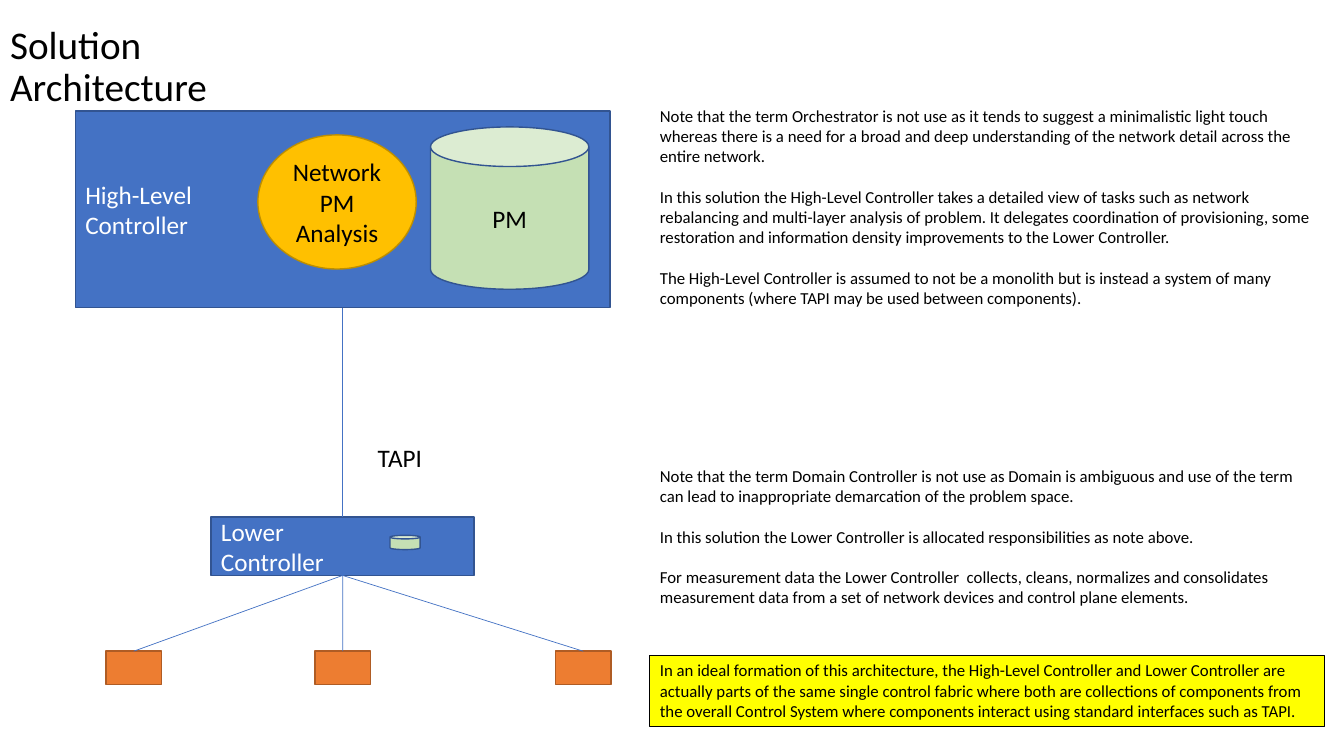
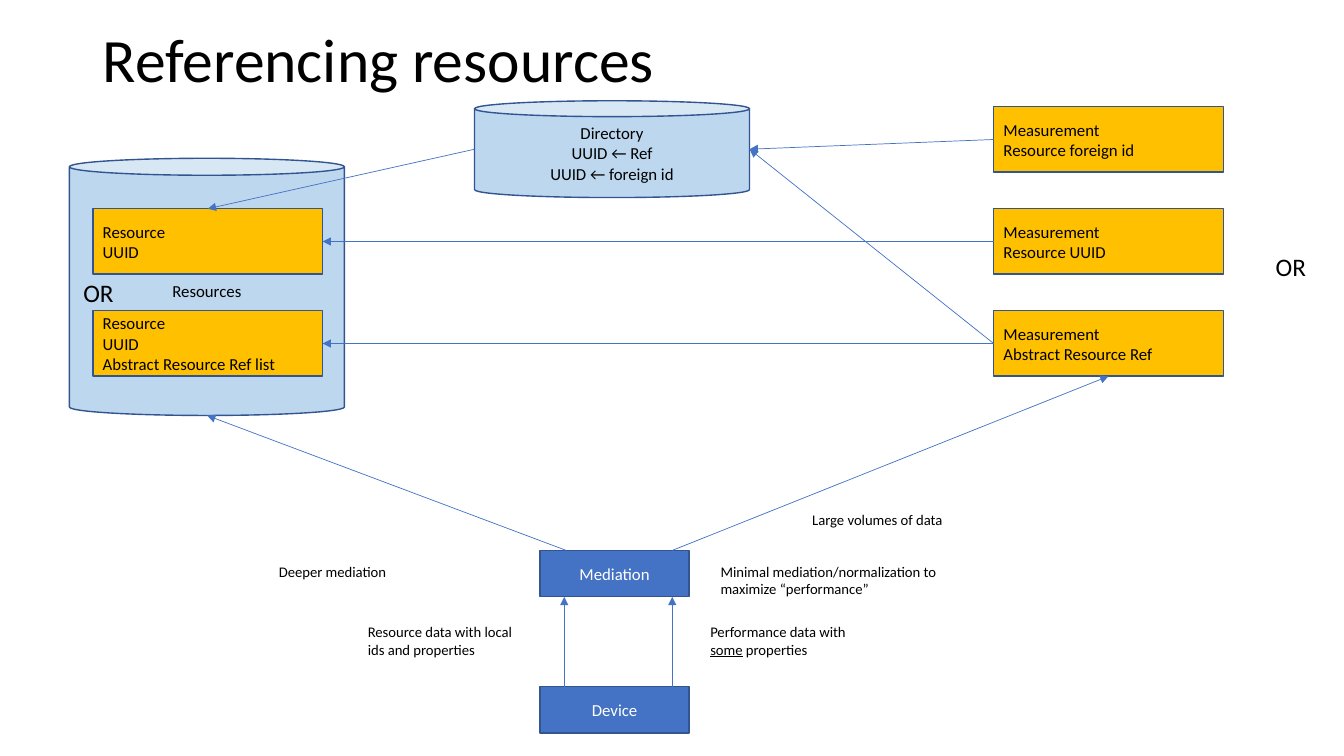
from lxml import etree
from pptx import Presentation
from pptx.dml.color import RGBColor
from pptx.enum.shapes import MSO_CONNECTOR, MSO_SHAPE
from pptx.enum.text import MSO_ANCHOR, MSO_AUTO_SIZE, PP_ALIGN
from pptx.oxml.ns import qn
from pptx.util import Cm, Pt

RECT, CAN, OVAL = MSO_SHAPE.RECTANGLE, MSO_SHAPE.CAN, MSO_SHAPE.OVAL
STRAIGHT = MSO_CONNECTOR.STRAIGHT
LEFT, CENTER = PP_ALIGN.LEFT, PP_ALIGN.CENTER
MIDDLE, FIXED = MSO_ANCHOR.MIDDLE, MSO_AUTO_SIZE.NONE
TOP, WEST, BOTTOM, EAST = range(4)  # connection sites of a rectangle

FONT = "Calibri"
TITLE_ONLY = 5
COLORS = {
    "black": "000000", "white": "FFFFFF", "blue": "4472C4", "navy": "325491",
    "orange": "ED7D31", "brown": "AF5C24", "gold": "FFC000", "ochre": "BD8E00",
    "green": "C5E0B4", "sky": "BDD7EE", "yellow": "FFFF00",
}


def rgb(name):
    return RGBColor.from_string(COLORS[name])


def write(tf, lines, size, color="black", align=LEFT, gap=0):
    """Fill a text frame, one paragraph a line; _word_ is underlined."""
    tf.word_wrap = True
    for i, line in enumerate(lines):
        p = tf.paragraphs[0] if i == 0 else tf.add_paragraph()
        p.alignment = align
        p.font.name, p.font.size, p.font.color.rgb = FONT, Pt(size), rgb(color)
        p.space_before = Pt(gap if i else 0)
        for j, part in enumerate(line.split("_")):
            r = p.add_run()
            r.text = part
            if j % 2:
                r.font.underline = True


def paint(shape, fill, line, width=1):
    shape.fill.solid()
    shape.fill.fore_color.rgb = rgb(fill)
    shape.line.color.rgb = rgb(line)
    shape.line.width = Pt(width)


def add_slide(prs, title, size, box):
    s = prs.slides.add_slide(prs.slide_layouts[TITLE_ONLY])
    sp = s.shapes.title
    sp.left, sp.top, sp.width, sp.height = map(Cm, box)
    tf = sp.text_frame
    tf.auto_size, tf.vertical_anchor = FIXED, MIDDLE
    write(tf, [title], size)
    tf.paragraphs[0].line_spacing = 0.9
    return s


def add_node(s, kind, box, fill, line="navy", lines=(), size=12,
             color="black", align=LEFT, rim=None):
    sp = s.shapes.add_shape(kind, *map(Cm, box))
    sp.shadow.inherit = False
    paint(sp, fill, line)
    if rim is not None:
        sp.adjustments[0] = rim
    sp.text_frame.vertical_anchor = MIDDLE
    write(sp.text_frame, lines, size, color, align)
    return sp


def add_text(s, box, lines, size, gap=0):
    sp = s.shapes.add_textbox(*map(Cm, box))
    write(sp.text_frame, lines, size, gap=gap)
    return sp


def add_link(s, start, end, arrow=True):
    """Each end is a point in cm or a pair of rectangle and site."""
    c = s.shapes.add_connector(STRAIGHT, 0, 0, 0, 0)
    if isinstance(start[0], (int, float)):
        c.begin_x, c.begin_y = map(Cm, start)
    else:
        c.begin_connect(*start)
    if isinstance(end[0], (int, float)):
        c.end_x, c.end_y = map(Cm, end)
    else:
        c.end_connect(*end)
    c.line.color.rgb = rgb("blue")
    c.line.width = Pt(0.5)
    if arrow:
        ln = c.line._get_or_add_ln()
        etree.SubElement(ln, qn("a:tailEnd"), type="triangle")
    etree.SubElement(c._element.spPr, qn("a:effectLst"))


def architecture(prs):
    s = add_slide(prs, "Solution Architecture", 28, (0, 0.58, 7.67, 2.24))

    # Controllers and their parts
    high = add_node(s, RECT, (1.9, 2.8, 13.47, 4.95), "blue",
                    lines=["High-Level", "Controller"], size=18, color="white")
    lower = add_node(s, RECT, (5.32, 13.03, 6.63, 1.47), "blue",
                     lines=["Lower", "Controller"], size=18, color="white")
    add_node(s, CAN, (10.85, 3.2, 3.99, 4.09), "green",
             lines=["PM"], size=18, align=CENTER)
    add_node(s, CAN, (9.83, 13.49, 0.76, 0.36), "green")
    add_node(s, OVAL, (6.5, 3.4, 3.99, 3.38), "gold", "ochre",
             ["Network PM", "Analysis"], 18, align=CENTER)

    # Network devices and links
    add_link(s, (lower, TOP), (high, BOTTOM), arrow=False)
    for x in (2.67, 7.94, 14):
        device = add_node(s, RECT, (x, 16.41, 1.4, 0.84), "orange", "brown")
        add_link(s, (lower, BOTTOM), (device, TOP), arrow=False)
    add_text(s, (9.27, 11.02, 3.12, 1.02), ["TAPI"], 18)

    # Notes
    notes = [
        (2.54, 5.38, [
            "Note that the term Orchestrator is not use as it tends to suggest a minimalistic light touch "
            "whereas there is a need for a broad and deep understanding of the network detail across the "
            "entire network.",
            "In this solution the High-Level Controller takes a detailed view of tasks such as network "
            "rebalancing and multi-layer analysis of problem. It delegates coordination of provisioning, "
            "some restoration and information density improvements to the Lower Controller.",
            "The High-Level Controller is assumed to not be a monolith but is instead a system of many "
            "components (where TAPI may be used between components)."]),
        (11.61, 3.84, [
            "Note that the term Domain Controller is not use as Domain is ambiguous and use of the term "
            "can lead to inappropriate demarcation of the problem space.",
            "In this solution the Lower Controller is allocated responsibilities as note above.",
            "For measurement data the Lower Controller  collects, cleans, normalizes and consolidates "
            "measurement data from a set of network devices and control plane elements."]),
        (16.51, 1.8, [
            "In an ideal formation of this architecture, the High-Level Controller and Lower Controller are "
            "actually parts of the same single control fabric where both are collections of components from "
            "the overall Control System where components interact using standard interfaces such as TAPI."]),
    ]
    for y, h, lines in notes:
        note = add_text(s, (16.38, y, 16.99, h), lines, 12, gap=14.6)
    paint(note, "yellow", "black", 0.75)  # the last note is highlighted


def referencing(prs):
    s = add_slide(prs, "Referencing resources", 44, (2.34, 0.48, 29.21, 2.21))

    # Stores
    add_node(s, CAN, (1.75, 3.99, 6.93, 6.48), "sky",
             lines=["Resources"], align=CENTER, rim=0.066)
    add_node(s, CAN, (11.96, 2.54, 6.93, 2.44), "sky", align=CENTER, rim=0.164,
             lines=["Directory", "UUID ← Ref", "UUID ← foreign id"])
    directory_west, directory_east = (11.96, 3.76), (18.89, 3.76)

    # Records, on shared rows
    def record(x, row, lines):
        return add_node(s, RECT, (x, 2.69 + 2.57 * row, 5.79, 1.65), "gold", lines=lines)

    plain = record(2.34, 1, ["Resource", "UUID"])
    listed = record(2.34, 2, ["Resource", "UUID", "Abstract Resource Ref list"])
    foreign, by_uuid, by_ref = [
        record(25.04, row, ["Measurement", key]) for row, key in
        enumerate(["Resource foreign id", "Resource UUID", "Abstract Resource Ref"])]

    # Data sources
    mediation, device = [
        add_node(s, RECT, (13.61, y, 3.76, 1.17), "blue", lines=[name],
                 color="white", align=CENTER)
        for name, y in (("Mediation", 13.87), ("Device", 17.3))]

    # Arrows
    for start, end in [
        ((foreign, WEST), directory_east),
        (directory_west, (plain, TOP)),
        ((by_uuid, WEST), (plain, EAST)),
        ((by_ref, WEST), directory_east),
        ((by_ref, WEST), (listed, EAST)),
        ((14.22, 17.3), (14.22, 15.04)),
        ((16.94, 17.3), (16.94, 15.04)),
        ((16.94, 13.87), (by_ref, BOTTOM)),
        ((14.27, 13.87), (5.22, 10.47)),
    ]:
        add_link(s, start, end)

    # Labels
    for box, text, size in [
        ((9.02, 15.57, 4.6, 1.14), "Resource data with local ids and properties", 10.5),
        ((17.65, 15.57, 4.6, 1.14), "Performance data with _some_ properties", 10.5),
        ((20.22, 12.75, 4.6, 0.71), "Large volumes of data", 10.5),
        ((17.91, 14.05, 6.68, 1.14),
         "Minimal mediation/normalization to maximize “performance”", 10.5),
        ((6.78, 14.05, 6.68, 0.71), "Deeper mediation", 10.5),
        ((1.85, 6.86, 1.6, 1.02), "OR", 18),
        ((31.9, 6.2, 1.6, 1.02), "OR", 18),
    ]:
        add_text(s, box, [text], size)


def main():
    prs = Presentation()
    prs.slide_width, prs.slide_height = Cm(33.87), Cm(19.05)
    architecture(prs)
    referencing(prs)
    prs.save("out.pptx")


if __name__ == "__main__":
    main()
